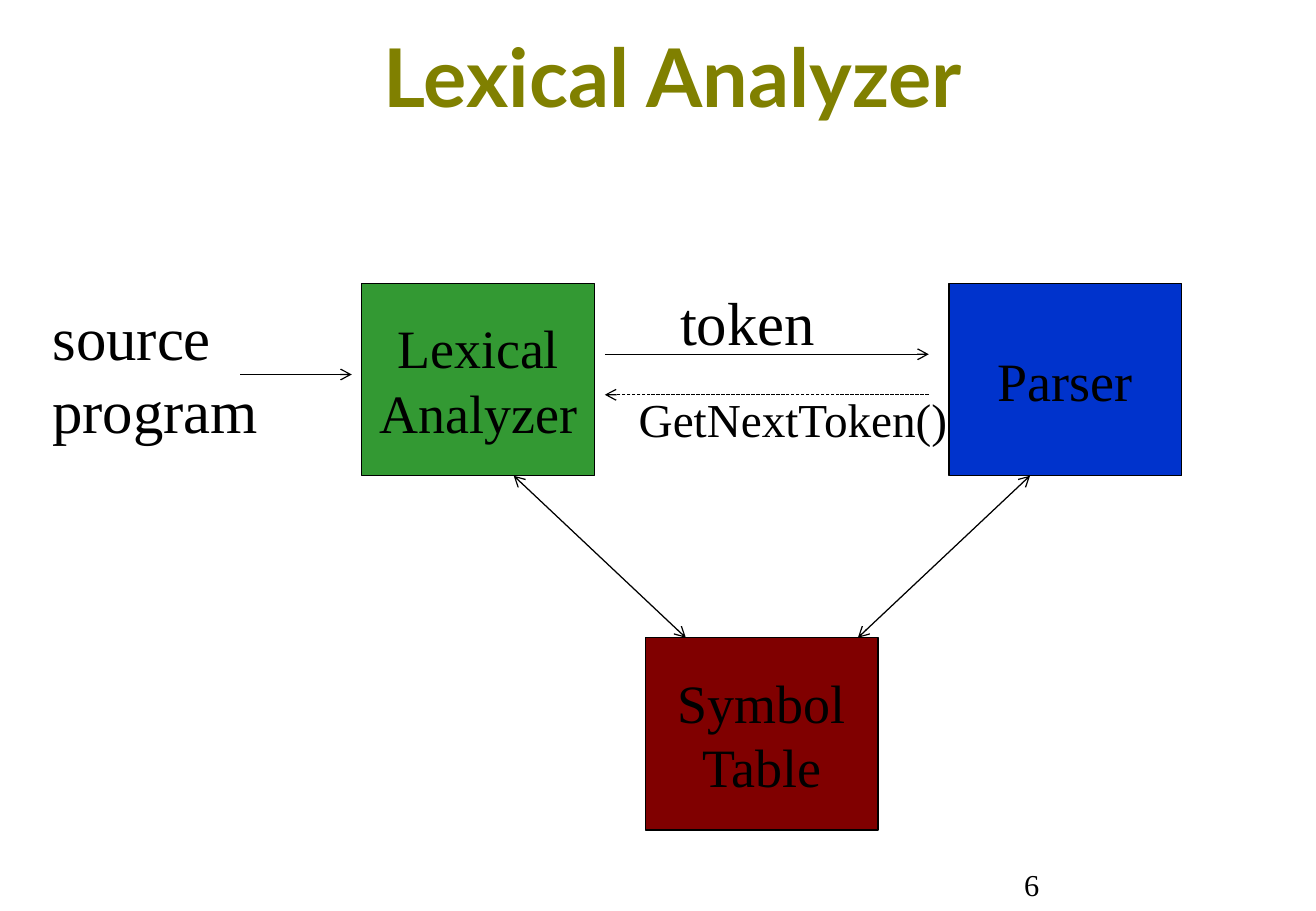
from pptx import Presentation
from pptx.dml.color import RGBColor
from pptx.enum.dml import MSO_LINE
from pptx.enum.shapes import MSO_CONNECTOR, MSO_SHAPE
from pptx.enum.text import MSO_ANCHOR, PP_ALIGN
from pptx.oxml.ns import qn
from pptx.util import Pt
from lxml.etree import SubElement

COLORS = {
    "ink": "000000",
    "title": "808000",
    "lexer": "339933",
    "parser": "0033CC",
    "symbols": "800000",
}
SERIF = "Times New Roman"
BLOCK_WIDTH, BLOCK_HEIGHT = 138, 114


def color(name):
    return RGBColor.from_string(COLORS[name])


def write(shape, text, size, font=SERIF, ink="ink", bold=False,
          align=PP_ALIGN.LEFT, anchor=MSO_ANCHOR.TOP):
    text_frame = shape.text_frame
    text_frame.text = text
    text_frame.word_wrap = True
    text_frame.vertical_anchor = anchor
    for paragraph in text_frame.paragraphs:
        paragraph.alignment = align
        for run in paragraph.runs:
            run.font.name = font
            run.font.size = Pt(size)
            run.font.bold = bold
            run.font.color.rgb = color(ink)


def add_label(slide, box, text, size, **style):
    shape = slide.shapes.add_textbox(*map(Pt, box))
    write(shape, text, size, **style)


def add_block(slide, left, top, text, fill):
    shape = slide.shapes.add_shape(
        MSO_SHAPE.RECTANGLE, Pt(left), Pt(top), Pt(BLOCK_WIDTH), Pt(BLOCK_HEIGHT))
    shape.shadow.inherit = False
    shape.fill.solid()
    shape.fill.fore_color.rgb = color(fill)
    shape.line.color.rgb = color("ink")
    shape.line.width = Pt(0.75)
    write(shape, text, 32, align=PP_ALIGN.CENTER, anchor=MSO_ANCHOR.MIDDLE)


def add_arrow(slide, start, end, both=False, dotted=False):
    connector = slide.shapes.add_connector(
        MSO_CONNECTOR.STRAIGHT, *map(Pt, (*start, *end)))
    connector.line.color.rgb = color("ink")
    connector.line.width = Pt(0.75)
    if dotted:
        connector.line.dash_style = MSO_LINE.SQUARE_DOT
    line = connector.line._get_or_add_ln()
    for tag in ("a:headEnd", "a:tailEnd") if both else ("a:tailEnd",):
        SubElement(line, qn(tag), type="arrow")
    SubElement(connector._element.spPr, qn("a:effectLst"))


def add_title(slide, box):
    add_label(slide, box, "Lexical Analyzer", 48, font="Lato", ink="title",
              bold=True, align=PP_ALIGN.CENTER)


def add_diagram(slide, left, top):
    lexer_left, parser_left, symbols_left = left + 190, left + 538, left + 358
    bottom, symbols_top = top + BLOCK_HEIGHT, top + 210
    lexer_right = lexer_left + BLOCK_WIDTH
    token_start, token_end = lexer_right + 6, parser_left - 12

    add_arrow(slide, (token_start, top + 42), (token_end, top + 42))
    add_arrow(slide, (token_end, top + 66), (token_start, top + 66), dotted=True)
    add_arrow(slide, (left + 118, top + 54), (lexer_left - 6, top + 54))

    add_label(slide, (left - 0.5, top + 6, 150, 94), "source\nprogram", 36)
    add_label(slide, (lexer_right + 43.5, top - 2.5, 110, 50), "token", 36)
    add_label(slide, (lexer_right + 19, top + 60, 210, 41), "GetNextToken()", 28)

    add_block(slide, lexer_left, top, "Lexical\nAnalyzer", "lexer")
    add_block(slide, parser_left, top, "Parser", "parser")
    add_block(slide, symbols_left, symbols_top, "Symbol\nTable", "symbols")

    add_arrow(slide, (parser_left + 48, bottom),
              (symbols_left + 126, symbols_top), both=True)
    add_arrow(slide, (lexer_left + 90, bottom),
              (symbols_left + 24, symbols_top), both=True)


def add_page_number(slide, box):
    add_label(slide, box, "6", 18)


def main():
    presentation = Presentation()
    presentation.slide_width = Pt(780)
    presentation.slide_height = Pt(540)
    slide = presentation.slides.add_slide(presentation.slide_layouts[6])
    add_title(slide, (30, 12, 738, 72))
    add_diagram(slide, 24.5, 168)
    add_page_number(slide, (600, 510, 163, 18))
    presentation.save("out.pptx")


if __name__ == "__main__":
    main()
